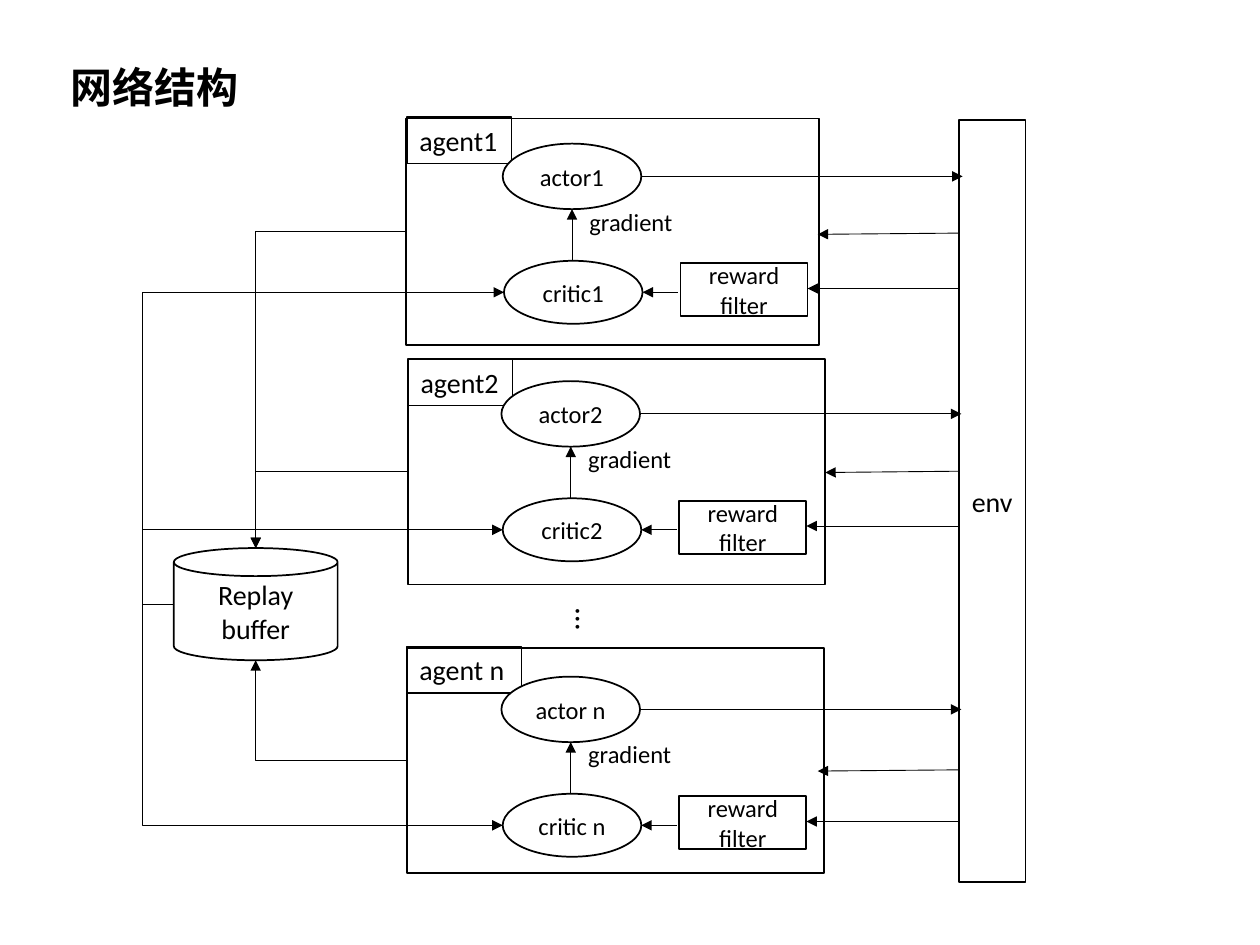
from dataclasses import dataclass

from lxml.etree import SubElement
from pptx import Presentation
from pptx.dml.color import RGBColor
from pptx.enum.shapes import MSO_CONNECTOR, MSO_SHAPE
from pptx.enum.text import MSO_ANCHOR, MSO_AUTO_SIZE, PP_ALIGN
from pptx.oxml.ns import qn
from pptx.util import Inches, Pt


@dataclass(frozen=True)
class Theme:
    font: str = "Calibri"
    ink: RGBColor = RGBColor(0, 0, 0)
    paper: RGBColor = RGBColor(255, 255, 255)
    title: int = 24
    dots: int = 18
    label: int = 16
    node: int = 14
    outline: float = 1
    tag_outline: float = 0.75
    arrow: float = 0.5


@dataclass(frozen=True)
class Agent:
    tag: str
    suffix: str
    frame: tuple
    tag_box: tuple
    left: float
    top: float
    state_row: float
    state_end: float


class Diagram:
    """Draws on a grid of 100 columns by 75 rows."""

    def __init__(self, presentation, theme):
        self.theme = theme
        self.slide = presentation.slides.add_slide(presentation.slide_layouts[6])
        self.column = presentation.slide_width / 100
        self.row = presentation.slide_height / 75

    def place(self, *lengths):
        """Turn alternating columns and rows into slide units."""
        return [round(length * (self.row if index % 2 else self.column))
                for index, length in enumerate(lengths)]

    def add_lines(self, shape, lines, size, align, bold=None):
        frame = shape.text_frame
        for index, line in enumerate(lines):
            paragraph = frame.add_paragraph() if index else frame.paragraphs[0]
            paragraph.alignment = align
            run = paragraph.add_run()
            run.text = line
            run.font.name = self.theme.font
            run.font.size = Pt(size)
            run.font.bold = bold
            run.font.color.rgb = self.theme.ink

    def outlined(self, kind, box, width):
        shape = self.slide.shapes.add_shape(kind, *self.place(*box))
        shape.shadow.inherit = False
        shape.line.color.rgb = self.theme.ink
        shape.line.width = Pt(width)
        return shape

    def node(self, kind, box, *lines, size=None):
        shape = self.outlined(kind, box, self.theme.outline)
        shape.fill.solid()
        shape.fill.fore_color.rgb = self.theme.paper
        shape.text_frame.vertical_anchor = MSO_ANCHOR.MIDDLE
        self.add_lines(shape, lines, size or self.theme.node, PP_ALIGN.CENTER)

    def tag(self, box, text):
        shape = self.outlined(MSO_SHAPE.RECTANGLE, box, self.theme.tag_outline)
        shape.fill.background()
        shape.text_frame.vertical_anchor = MSO_ANCHOR.TOP
        shape.text_frame.auto_size = MSO_AUTO_SIZE.SHAPE_TO_FIT_TEXT
        self.add_lines(shape, [text], self.theme.label, PP_ALIGN.LEFT)

    def text(self, box, text, size, bold=None, wrap=True, rotation=0):
        shape = self.slide.shapes.add_textbox(*self.place(*box))
        shape.rotation = rotation
        shape.text_frame.word_wrap = wrap
        shape.text_frame.auto_size = MSO_AUTO_SIZE.SHAPE_TO_FIT_TEXT
        self.add_lines(shape, [text], size, PP_ALIGN.LEFT, bold)

    def arrow(self, start, end, kind=MSO_CONNECTOR.STRAIGHT):
        connector = self.slide.shapes.add_connector(kind, *self.place(*start, *end))
        connector.line.color.rgb = self.theme.ink
        connector.line.width = Pt(self.theme.arrow)
        properties = connector._element.spPr
        SubElement(properties.find(qn("a:ln")), qn("a:tailEnd"), type="triangle")
        SubElement(properties, qn("a:effectLst"))
        return properties.find(qn("a:prstGeom"))

    def corner_arrow(self, start, end):
        """Run sideways first, then up or down to the end."""
        self.arrow(start, end, MSO_CONNECTOR.ELBOW).set("prst", "bentConnector2")

    def loop_arrow(self, start, end, turn):
        """Run sideways to the turn column, along it, then to the end."""
        geometry = self.arrow(start, end, MSO_CONNECTOR.ELBOW)
        share = round((turn - start[0]) / (end[0] - start[0]) * 100000)
        SubElement(geometry.find(qn("a:avLst")), qn("a:gd"),
                   name="adj1", fmla=f"val {share}")


AGENTS = [
    Agent("agent1", "1", (32.2, 9.4, 32.8, 18), (32.3, 9.3, 8.3, 3.7),
          39.9, 11.4, 18.5, 64.9),
    Agent("agent2", "2", (32.4, 28.5, 33.1, 17.9), (32.4, 28.5, 8.3, 3.7),
          39.8, 30.25, 37.4, 65.5),
    Agent("agent n", " n", (32.3, 51.4, 33.1, 17.9), (32.3, 51.3, 9.1, 3.7),
          39.8, 53.7, 61.1, 64.9),
]
ENV_LEFT = 76.1
BUFFER_LEFT, BUFFER_CENTER = 13.8, 20.3
BUFFER_TOP, BUFFER_MIDDLE, BUFFER_BOTTOM = 43.5, 48, 52.4
LOOP_COLUMN = 11.3
CRITIC_DROP, CRITIC_MIDDLE = 9.3, 11.8


def draw_buffer_links(diagram, agent):
    left, top, _, height = agent.frame
    middle = top + height / 2
    port = BUFFER_TOP if middle < BUFFER_MIDDLE else BUFFER_BOTTOM
    diagram.corner_arrow((left, middle), (BUFFER_CENTER, port))
    diagram.loop_arrow((BUFFER_LEFT, BUFFER_MIDDLE),
                       (agent.left + 0.1, agent.top + CRITIC_MIDDLE), LOOP_COLUMN)


def draw_networks(diagram, agent):
    left, top = agent.left, agent.top
    center = left + 5.5
    critic_row = top + CRITIC_MIDDLE
    reward_row = top + 11.5
    diagram.node(MSO_SHAPE.OVAL, (left, top, 11, 5.2), "actor" + agent.suffix)
    diagram.arrow((left + 11, top + 2.6), (left + 36.5, top + 2.6))
    diagram.arrow((center, top + CRITIC_DROP), (center, top + 5.2))
    diagram.text((left + 5.9, top + 4.5, 8.7, 3.4), "gradient", diagram.theme.node)
    diagram.node(MSO_SHAPE.OVAL, (left + 0.1, top + CRITIC_DROP, 11, 5),
                 "critic" + agent.suffix)
    diagram.arrow((ENV_LEFT, reward_row), (left + 24.2, reward_row))
    diagram.node(MSO_SHAPE.RECTANGLE, (left + 14.1, top + 9.5, 10.1, 4.2),
                 "reward", "filter")
    diagram.arrow((left + 13.9, critic_row), (left + 11.1, critic_row))
    diagram.arrow((ENV_LEFT, agent.state_row), (agent.state_end, agent.state_row + 0.1))


def main():
    presentation = Presentation()
    presentation.slide_width, presentation.slide_height = Inches(10), Inches(7.5)
    theme = Theme()
    diagram = Diagram(presentation, theme)

    diagram.text((4.6, 4.4, 15.5, 5), "网络结构", theme.title, bold=True, wrap=False)
    diagram.node(MSO_SHAPE.CAN, (BUFFER_LEFT, BUFFER_TOP, 13, 8.9),
                 "Replay buffer", size=theme.label)
    for agent in AGENTS:
        diagram.node(MSO_SHAPE.RECTANGLE, agent.frame)
        diagram.tag(agent.tag_box, agent.tag)
    diagram.text((44.8, 47.2, 3.8, 4), "…", theme.dots, rotation=90)
    for agent in AGENTS:
        draw_buffer_links(diagram, agent)
    diagram.node(MSO_SHAPE.RECTANGLE, (ENV_LEFT, 9.5, 5.3, 60.5), "env", size=theme.label)
    for agent in AGENTS:
        draw_networks(diagram, agent)

    presentation.save("out.pptx")


if __name__ == "__main__":
    main()
